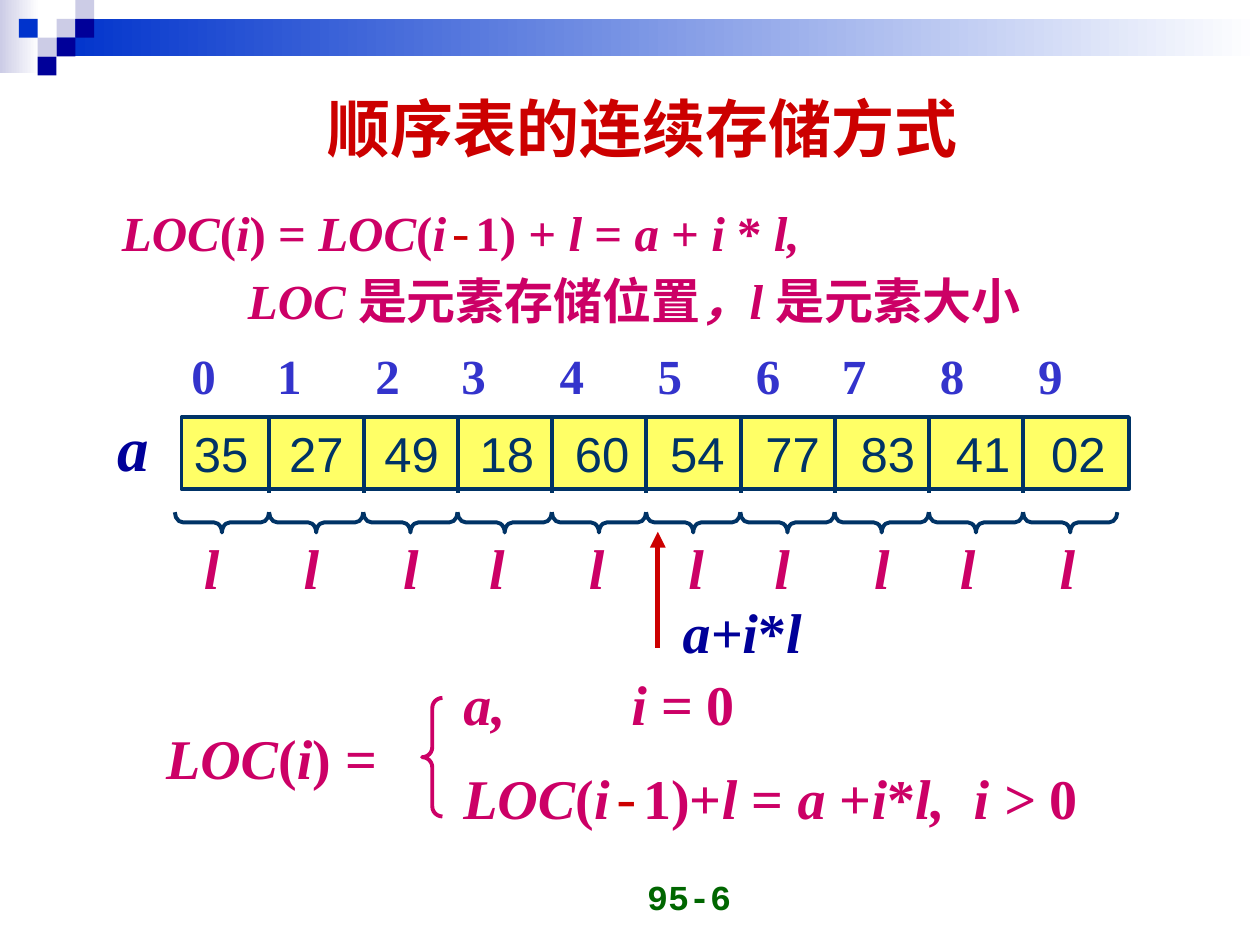
"""Build a slide on how a sequential list is stored in consecutive memory."""
import itertools

import pptx
import pptx.dml.color
import pptx.enum.shapes
import pptx.enum.text
import pptx.util
from lxml import etree
from pptx.oxml.ns import qn

Cm = pptx.util.Cm
Pt = pptx.util.Pt
Kind = pptx.enum.shapes.MSO_SHAPE
Align = pptx.enum.text.PP_ALIGN
Anchor = pptx.enum.text.MSO_ANCHOR

HUES = {
    "pale": "CCCCE6", "white": "FFFFFF", "blue": "0033CC", "navy": "000099",
    "green": "006600", "red": "CC0000", "pink": "CC0066", "ink": "003366",
    "yellow": "FFFF66", "index": "3333CC",
}
SERIF = "Times New Roman"
MONO = "Courier New"


def hue(name):
    """Return the named colour."""
    return pptx.dml.color.RGBColor.from_string(HUES[name])


def shape(slide, kind, box, fill=None, line=None):
    """Add a preset shape with an optional fill and outline."""
    item = slide.shapes.add_shape(kind, *map(Cm, box))
    item.shadow.inherit = False
    if fill:
        item.fill.solid()
        item.fill.fore_color.rgb = hue(fill)
    else:
        item.fill.background()
    if line:
        item.line.color.rgb = hue(line)
        item.line.width = Pt(2.25)
    else:
        item.line.fill.background()
    return item


def fade(slide, box, start):
    """Add a bar that fades from a colour to white."""
    item = shape(slide, Kind.RECTANGLE, box)
    item.fill.gradient()
    item.fill.gradient_angle = 0
    for stop, name in zip(item.fill.gradient_stops, (start, "white")):
        stop.color.rgb = hue(name)


def brace(slide, box, line, curve, turn=0):
    """Add a left brace, turned by the given angle."""
    item = shape(slide, Kind.LEFT_BRACE, box, line=line)
    item.adjustments[0] = curve
    item.rotation = turn


def rule(slide, start, end, color, width, arrow=False):
    """Add a straight line with an optional arrowhead at its end."""
    item = slide.shapes.add_connector(
        pptx.enum.shapes.MSO_CONNECTOR.STRAIGHT, *map(Cm, start + end))
    item.line.color.rgb = hue(color)
    item.line.width = Pt(width)
    if arrow:
        etree.SubElement(item.line._get_or_add_ln(), qn("a:tailEnd"), type="triangle")
    etree.SubElement(item._element.spPr, qn("a:effectLst"))


def frame(item, anchor=Anchor.TOP):
    """Set up the text frame of a shape and return its first paragraph."""
    body = item.text_frame
    body.word_wrap = True
    body.vertical_anchor = anchor
    body.margin_left = body.margin_right = Cm(0.25)
    body.margin_top = body.margin_bottom = Cm(0.13)
    body.paragraphs[0].alignment = Align.LEFT
    return body.paragraphs[0]


def label(slide, box, anchor=Anchor.TOP):
    """Add a text box and return its first paragraph."""
    return frame(slide.shapes.add_textbox(*map(Cm, box)), anchor)


def stops(para, places):
    """Give a paragraph left tab stops."""
    tabs = etree.SubElement(para._p.get_or_add_pPr(), qn("a:tabLst"))
    for place in places:
        etree.SubElement(tabs, qn("a:tab"), pos=str(Cm(place)), algn="l")


def write(para, text, size, color, font=SERIF, bold=True, slant=False):
    """Add one run of text."""
    run = para.add_run()
    run.text = text
    run.font.size = Pt(size)
    run.font.name = font
    run.font.bold = bold
    run.font.italic = slant
    run.font.color.rgb = hue(color)


def math(para, words, styles, size, color="pink"):
    """Add runs in the styles i (italic), r (roman) and m (minus sign)."""
    for word, style in zip(words, styles, strict=True):
        if style == "m":
            write(para, word, size, "red", MONO, bold=False)
        else:
            write(para, word, size, color, slant=style == "i")


def row(para, words, gaps, size, color, **look):
    """Add words in a row, set apart by tab stops."""
    stops(para, itertools.accumulate(gaps))
    write(para, "\t".join(words), size, color, **look)


def decor(slide):
    """Add the fading bars and small squares at the top."""
    fade(slide, (0, 0, 0.79, 1.47), "pale")
    fade(slide, (1.14, 0.38, 24.26, 0.76), "blue")
    tiles = [(3, 1, "pale"), (4, 0, "pale"), (4, 1, "navy"), (2, 1 + 1, "pale"),
             (1, 1, "blue"), (3, 2, "navy"), (2, 3, "navy")]
    side = 0.38
    for col, line, fill in tiles:
        shape(slide, Kind.RECTANGLE, (col * side, line * side, side, side), fill)


def heads(slide):
    """Add the title, the page number and the main formula."""
    para = label(slide, (4.7, 1.52, 16.51, 2.11), Anchor.MIDDLE)
    para.alignment = Align.CENTER
    write(para, "顺序表的连续存储方式", 36, "red")
    para = label(slide, (9.07, 17.35, 5.92, 1.27), Anchor.BOTTOM)
    para.alignment = Align.RIGHT
    write(para, "95-6", 20, "green", MONO)

    item = slide.shapes.add_textbox(Cm(2.21), Cm(3.96), Cm(21.31), Cm(2.97))
    para = frame(item)
    math(para, ["LOC", "(", "i", ") = ", "LOC", "(", "i", "-", "1) + ", "l",
                " = ", "a ", "+ ", "i ", "* ", "l,"], "iriririmririririi"[:14] + "ri", 28)
    para.space_after = Pt(1)
    para = item.text_frame.add_paragraph()
    stops(para, [2.54])
    write(para, "\t", 32, "pink")
    math(para, ["LOC ", "是元素存储位置", "，l ", "是元素大小"], "irir", 28)


def array(slide):
    """Add the array with its indexes, cells and element sizes."""
    cells = "35 27 49 18 60 54 77 83 41 02".split()
    count = len(cells)
    pitch = 1.9
    item = shape(slide, Kind.RECTANGLE, (3.66, 8.41, 19.1, 1.45), "yellow", "ink")
    row(frame(item), cells, [1.92] * (count - 1), 28, "ink", font="Arial", bold=False)
    for k in range(count - 1):
        x = 5.43 + k * pitch
        rule(slide, (x, 8.41), (x, 9.93), "ink", 2.25)
    for k in range(count):
        brace(slide, (4.27 + k * pitch, 9.58, 0.41, pitch), "ink", 0.4, 270)

    near, far = 1.73, 1.98
    row(label(slide, (3.61, 6.83, 19, 1.63)), map(str, range(count)),
        [near, far, near, far, far, far, near, far, far], 28, "index")
    far = 2.01
    row(label(slide, (3.86, 10.62, 19, 1.63)), "l" * count,
        [far, far, near, far, far, near, far, near, far], 32, "pink", slant=True)

    write(label(slide, (2.11, 8.1, 1.3, 1.78)), "a", 36, "navy", slant=True)
    rule(slide, (13.26, 13.06), (13.26, 10.72), "red", 3, arrow=True)
    math(label(slide, (13.51, 11.91, 3.4, 1.63)), ["a+i", "*", "l"], "iri", 32, "navy")


def cases(slide):
    """Add the definition by cases."""
    brace(slide, (8.51, 14.07, 0.41, 2.39), "pink", 0.5)
    math(label(slide, (3.1, 14.45, 5.72, 1.63)), ["LOC", "(", "i", ") ="], "irir", 32)
    para = label(slide, (9.09, 13.36, 7.57, 1.63))
    stops(para, [3.39])
    math(para, ["a,\ti ", "= 0"], "ir", 32)
    para = label(slide, (9.09, 15.27, 13.69, 1.63))
    stops(para, [10.29])
    math(para, ["LOC", "(", "i", "-", "1)+", "l", " = ", "a ", "+", "i", "*",
                "l,\ti > ", "0"], "irimririririr"[:13], 32)


def main():
    """Build and save the slide."""
    deck = pptx.Presentation()
    deck.slide_width, deck.slide_height = Cm(25.4), Cm(19.05)
    slide = deck.slides.add_slide(deck.slide_layouts[6])
    decor(slide)
    heads(slide)
    array(slide)
    cases(slide)
    deck.save("out.pptx")


if __name__ == "__main__":
    main()
